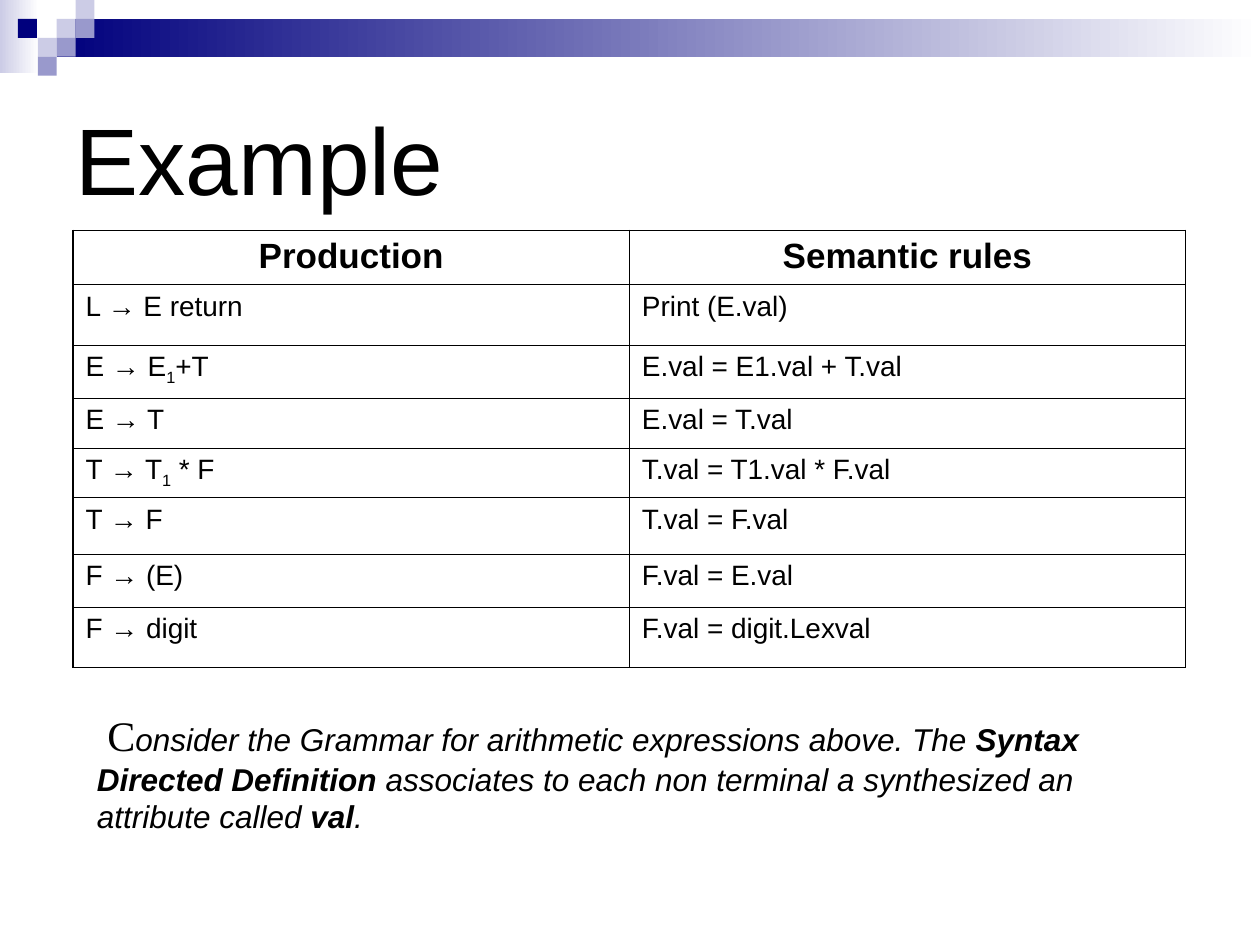
"""Builds a slide with a table of grammar productions and their semantic rules."""
import pptx
import pptx.util
import pptx.dml.color
import pptx.enum.shapes
import pptx.enum.text
import pptx.oxml
import pptx.oxml.ns

WIDTH, HEIGHT = 10, 7.5
UNIT = 0.15
BLACK, NAVY, LAVENDER, PERIWINKLE, WHITE = "000000", "00007D", "CCCCE6", "9999CC", "FFFFFF"
THICK, THIN = 1.08, 0.45
ALIGN = pptx.enum.text.PP_ALIGN
ANCHOR = pptx.enum.text.MSO_ANCHOR

SUB = {"baseline": -25}
RULES = [
    (["Production"], ["Semantic rules"]),
    (["L → E return"], ["Print (E.val)"]),
    (["E → E", ("1", SUB), "+T"], ["E.val = E1.val + T.val"]),
    (["E → T"], ["E.val = T.val"]),
    (["T → T", ("1", SUB), " * F"], ["T.val = T1.val * F.val"]),
    (["T → F"], ["T.val = F.val"]),
    (["F → (E)"], ["F.val = E.val"]),
    (["F → digit"], ["F.val = digit.Lexval"]),
]
ROW_HEIGHTS = [0.43, 0.48, 0.42, 0.4, 0.39, 0.45, 0.42, 0.48]
BOLD = {"bold": True}
REMARK = [
    (" C", {"size": 24, "font": "Times New Roman", "italic": False}),
    "onsider the Grammar for arithmetic expressions above. The ",
    ("Syntax Directed Definition", BOLD),
    " associates to each non terminal a synthesized an attribute called ",
    ("val", BOLD),
    ".",
]
BANDS = [
    ((0, 0, 0.31, 0.58), LAVENDER),
    ((3 * UNIT, UNIT, WIDTH - 3 * UNIT, 2 * UNIT), NAVY),
]
# column, row, colour
TILES = [
    (3, 1, LAVENDER), (4, 0, LAVENDER), (4, 1, PERIWINKLE), (2, 2, LAVENDER),
    (0.95, 1, NAVY), (3, 2, PERIWINKLE), (2, 3, PERIWINKLE),
]


def rgb(color):
    return pptx.dml.color.RGBColor.from_string(color)


def inches(*lengths):
    return [pptx.util.Inches(length) for length in lengths]


def write(frame, parts, size=16, font="Arial", bold=False, italic=False,
          align=ALIGN.LEFT, before=0):
    paragraph = frame.paragraphs[0]
    paragraph.alignment = align
    paragraph.space_before = pptx.util.Pt(before)
    for part in parts:
        words, changes = (part, {}) if isinstance(part, str) else part
        run = paragraph.add_run()
        run.text = words
        run.font.size = pptx.util.Pt(changes.get("size", size))
        run.font.name = changes.get("font", font)
        run.font.bold = changes.get("bold", bold)
        run.font.italic = changes.get("italic", italic)
        run.font.color.rgb = rgb(BLACK)
        if "baseline" in changes:
            run._r.get_or_add_rPr().set("baseline", str(changes["baseline"] * 1000))


def add_block(slide, box, *colors):
    block = slide.shapes.add_shape(pptx.enum.shapes.MSO_SHAPE.RECTANGLE, *inches(*box))
    block.shadow.inherit = False
    block.line.fill.background()
    if len(colors) == 1:
        block.fill.solid()
        block.fill.fore_color.rgb = rgb(colors[0])
    else:
        block.fill.gradient()
        block.fill.gradient_angle = 0
        for stop, color in zip(block.fill.gradient_stops, colors):
            stop.color.rgb = rgb(color)


def set_borders(cell, **widths):
    for side, width in widths.items():
        cell._tc.get_or_add_tcPr().append(pptx.oxml.parse_xml(
            f'<a:ln{side} {pptx.oxml.ns.nsdecls("a")} w="{pptx.util.Pt(width)}">'
            f'<a:solidFill><a:srgbClr val="{BLACK}"/></a:solidFill></a:ln{side}>'))


def add_rules(slide):
    rows, columns = len(RULES), len(RULES[0])
    grid = slide.shapes.add_table(
        rows, columns, *inches(0.58, 1.83, 8.83, sum(ROW_HEIGHTS))).table
    for column in grid.columns:
        column.width = pptx.util.Inches(8.83 / columns)
    for r, (rule, height) in enumerate(zip(RULES, ROW_HEIGHTS)):
        grid.rows[r].height = pptx.util.Inches(height)
        for c, parts in enumerate(rule):
            cell = grid.cell(r, c)
            if r == 0:
                write(cell.text_frame, parts, size=20, bold=True, align=ALIGN.CENTER, before=5)
            else:
                write(cell.text_frame, parts, before=4)
            set_borders(cell,
                        L=THICK if c == 0 else THIN,
                        R=THICK if c == columns - 1 else THIN,
                        T=THICK if r == 0 else THIN,
                        B=THICK if r == rows - 1 else THIN)
            cell.fill.background()


def main():
    deck = pptx.Presentation()
    deck.slide_width, deck.slide_height = inches(WIDTH, HEIGHT)
    slide = deck.slides.add_slide(deck.slide_layouts[5])

    for box, color in BANDS:
        add_block(slide, box, color, WHITE)
    for column, row, color in TILES:
        add_block(slide, (column * UNIT, row * UNIT, UNIT, UNIT), color)

    heading = slide.shapes.title
    heading.left, heading.top, heading.width, heading.height = inches(0.5, 0.5, 9, 1.5)
    heading.text_frame.vertical_anchor = ANCHOR.MIDDLE
    write(heading.text_frame, ["Example"], size=54)

    add_rules(slide)

    remark = slide.shapes.add_textbox(*inches(0.67, 5.58, 8.25, 1.1)).text_frame
    remark.word_wrap = True
    remark.auto_size = pptx.enum.text.MSO_AUTO_SIZE.SHAPE_TO_FIT_TEXT
    write(remark, REMARK, size=18, italic=True)

    deck.save("out.pptx")


if __name__ == "__main__":
    main()
